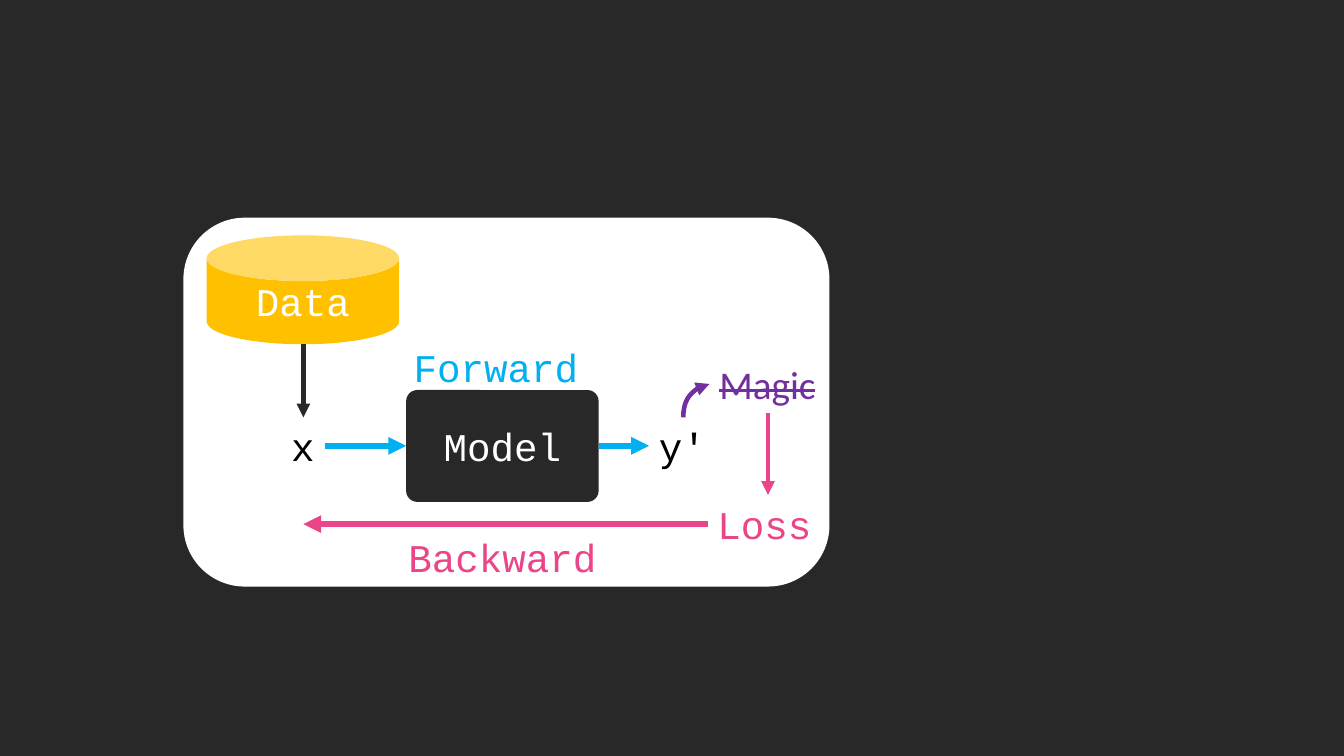
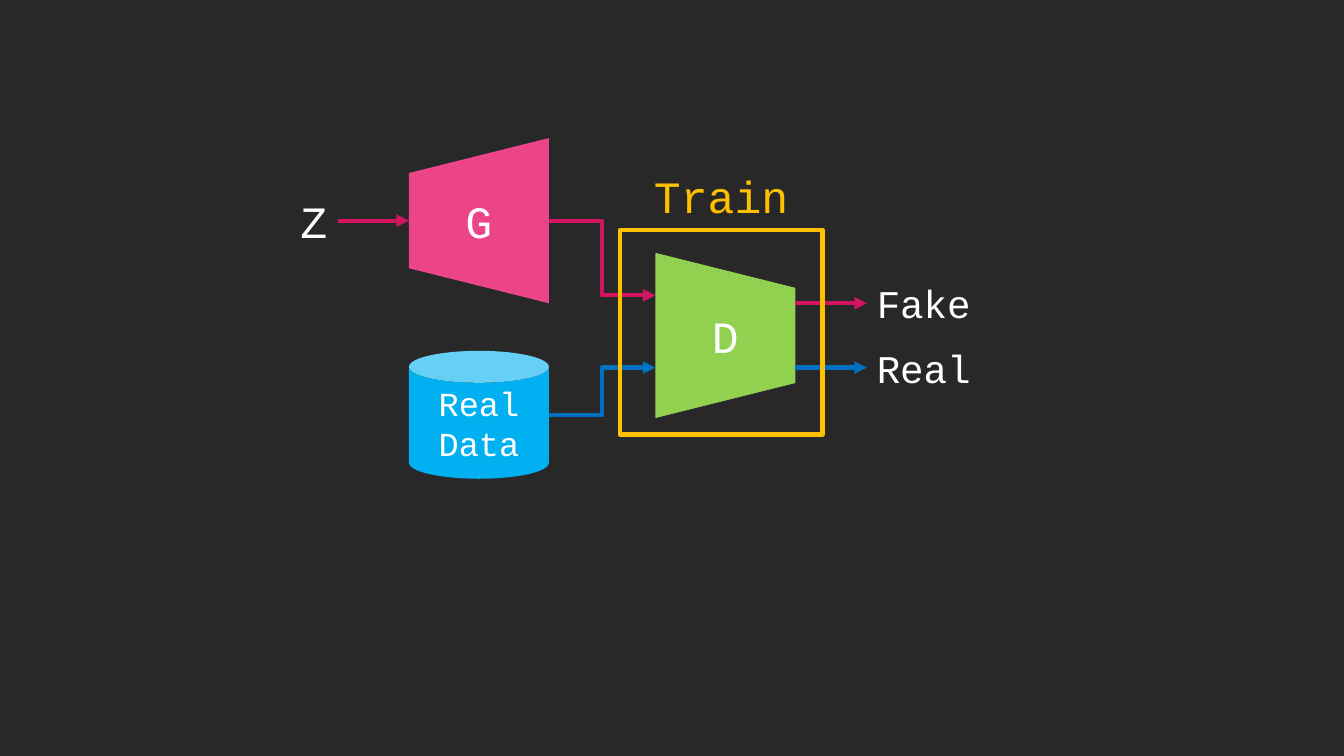
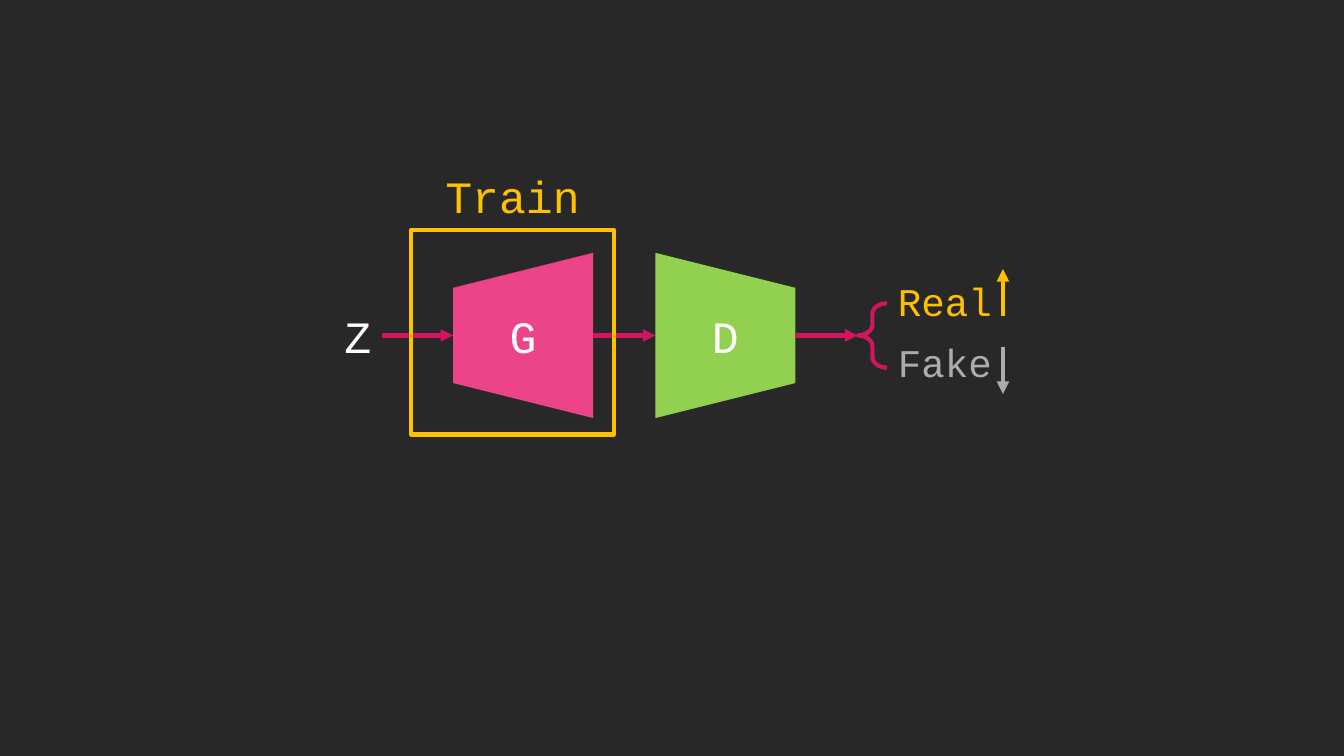
from lxml import etree
from pptx import Presentation
from pptx.dml.color import RGBColor
from pptx.enum.shapes import MSO_CONNECTOR, MSO_SHAPE
from pptx.enum.text import MSO_ANCHOR, PP_ALIGN
from pptx.oxml.ns import qn
from pptx.util import Pt

STRAIGHT, ELBOW, CURVE = MSO_CONNECTOR.STRAIGHT, MSO_CONNECTOR.ELBOW, MSO_CONNECTOR.CURVE
CAN, TRAPEZOID, RECTANGLE = MSO_SHAPE.CAN, MSO_SHAPE.TRAPEZOID, MSO_SHAPE.RECTANGLE
ROUNDED, BRACE = MSO_SHAPE.ROUNDED_RECTANGLE, MSO_SHAPE.LEFT_BRACE
LEFT, CENTER, MIDDLE = PP_ALIGN.LEFT, PP_ALIGN.CENTER, MSO_ANCHOR.MIDDLE

COLORS = {
    "dark": "282828", "white": "FFFFFF", "black": "000000", "gold": "FFC000",
    "sky": "00B0F0", "blue": "0070C0", "pink": "EC4488", "crimson": "D11561",
    "green": "92D050", "purple": "7030A0", "grey": "AFABAB",
}
MONO = "Courier New"
LABEL_HEIGHT = 41
LETTER_HEIGHT = 46
NET_WIDTH, NET_HEIGHT = 100, 118


def rgb(name):
    """Return the palette colour of that name."""
    return RGBColor.from_string(COLORS[name])


def write(shape, text, color, size, align, font=MONO):
    """Put one formatted paragraph into a shape."""
    paragraph = shape.text_frame.paragraphs[0]
    paragraph.text = text
    paragraph.alignment = align
    paragraph.font.name = font
    paragraph.font.size = Pt(size)
    paragraph.font.color.rgb = rgb(color)
    return paragraph


def add_label(slide, text, left, top, width, color, size=28, align=LEFT,
              height=LABEL_HEIGHT, font=MONO):
    """Add a one-line, vertically centred text box."""
    label = slide.shapes.add_textbox(Pt(left), Pt(top), Pt(width), Pt(height))
    label.text_frame.word_wrap = False
    label.text_frame.vertical_anchor = MIDDLE
    return write(label, text, color, size, align, font)


def add_block(slide, kind, left, top, width, height, fill=None, line=None):
    """Add a flat preset shape, filled or outlined."""
    block = slide.shapes.add_shape(kind, Pt(left), Pt(top), Pt(width), Pt(height))
    block.shadow.inherit = False
    if fill:
        block.fill.solid()
        block.fill.fore_color.rgb = rgb(fill)
    else:
        block.fill.background()
    if line:
        block.line.color.rgb = rgb(line)
        block.line.width = Pt(3)
    else:
        block.line.fill.background()
    return block


def add_arrow(slide, x1, y1, x2, y2, color, width=3, kind=STRAIGHT):
    """Add a connector with a triangle at its end."""
    arrow = slide.shapes.add_connector(kind, Pt(x1), Pt(y1), Pt(x2), Pt(y2))
    arrow.line.color.rgb = rgb(color)
    arrow.line.width = Pt(width)
    properties = arrow.element.spPr
    etree.SubElement(properties.find(qn("a:ln")), qn("a:tailEnd"), type="triangle")
    etree.SubElement(properties, qn("a:effectLst"))
    return arrow


def add_quarter_curve(slide, x1, y1, x2, y2, color, width):
    """Add a curved arrow that leaves upwards and arrives rightwards."""
    center_x, center_y = (x1 + x2) / 2, (y1 + y2) / 2
    half_long, half_short = abs(y2 - y1) / 2, abs(x2 - x1) / 2
    curve = add_arrow(slide, center_x + half_long, center_y + half_short,
                      center_x - half_long, center_y - half_short, color, width, CURVE)
    properties = curve.element.spPr
    properties.find(qn("a:xfrm")).set("rot", "5400000")
    properties.find(qn("a:prstGeom")).set("prst", "curvedConnector2")


def add_network(slide, letter, left, top, color, rotation):
    """Add a trapezoid lying on its side, with its letter."""
    shift = (NET_HEIGHT - NET_WIDTH) / 2
    network = add_block(slide, TRAPEZOID, left - shift, top + shift,
                        NET_HEIGHT, NET_WIDTH, color)
    network.rotation = rotation
    add_label(slide, letter, left, top, NET_WIDTH, "white", 32, CENTER, NET_HEIGHT)


def add_generator(slide, left, top):
    """Add the noise input Z, its arrow and the generator."""
    middle = top + NET_HEIGHT / 2
    add_label(slide, "Z", left, middle - LETTER_HEIGHT / 2, 33.8, "white", 32,
              height=LETTER_HEIGHT)
    add_arrow(slide, left + 33.8, middle, left + 84.7, middle, "crimson")
    add_network(slide, "G", left + 84.7, top, "pink", 270)


def add_train_frame(slide, left, top):
    """Add the frame around the trained part, with its heading."""
    add_block(slide, RECTANGLE, left, top, 144.7, 146.2, line="gold")
    add_label(slide, "Train", left, top - 47.5, 144.7, "gold", 32, CENTER, LETTER_HEIGHT)


def draw_training_loop(slide, left, top):
    """Draw the panel with the forward and backward pass."""
    def x(offset):
        return left + offset

    def y(offset):
        return top + offset

    add_block(slide, ROUNDED, left, top, 461.5, 263.5, "white")
    model = add_block(slide, ROUNDED, x(159.1), y(123.1), 137.5, 79.9, "dark")
    model.adjustments[0] = 0.1
    write(model, "Model", "white", 28, CENTER)
    data = add_block(slide, CAN, x(16.6), y(12.6), 137.5, 77.8, "gold")
    data.adjustments[0] = 0.42
    write(data, "Data", "white", 28, CENTER)

    for text, dx, dy, width, color, align in (
        ("x", 69.8, 142.6, 31.7, "black", LEFT),
        ("y'", 332.6, 142.6, 48.2, "black", LEFT),
        ("Loss", 374.4, 198, 87, "pink", LEFT),
        ("Forward", 154.8, 85.7, 136.8, "sky", CENTER),
        ("Backward", 149.8, 221.8, 156.2, "pink", CENTER),
    ):
        add_label(slide, text, x(dx), y(dy), width, color, align=align)
    magic = add_label(slide, "Magic", x(375.8), y(97.9), 83.5, "purple", font="Calibri")
    magic.runs[0].font._element.set("strike", "sngStrike")

    for x1, y1, x2, y2, color, width in (
        (101.5, 163, 159.1, 163, "sky", 4.25),
        (296.6, 163, 332.6, 163, "sky", 4.25),
        (85.7, 90.4, 85.7, 142.6, "dark", 3.25),
        (417.6, 139.7, 417.6, 198, "pink", 3.25),
        (374.4, 218.9, 85.7, 218.9, "pink", 4.25),
    ):
        add_arrow(slide, x(x1), y(y1), x(x2), y(y2), color, width)
    add_quarter_curve(slide, x(357.1), y(142.6), x(375.8), y(118.8), "purple", 3.25)


def draw_discriminator_step(slide, left, top):
    """Draw the step that trains D on fake and real samples."""
    add_generator(slide, left, top)
    add_network(slide, "D", left + 260.8, top + 82, "green", 90)
    real_data = add_block(slide, CAN, left + 84.7, top + 152, NET_WIDTH, 91.4, "sky")
    write(real_data, "Real Data", "white", 24, CENTER)
    for text, color, source, entry, result in (
        ("Fake", "crimson", 59, 112.4, 118),
        ("Real", "blue", 198, 164, 164),
    ):
        add_arrow(slide, left + 184.7, top + source, left + 260.8, top + entry,
                  color, kind=ELBOW)
        add_arrow(slide, left + 360.8, top + result, left + 411.8, top + result, color)
        add_label(slide, text, left + 411.8, top + result - LABEL_HEIGHT / 2, 85.7, "white")
    add_train_frame(slide, left + 235.4, top + 65.6)


def draw_generator_step(slide, left, top):
    """Draw the step that trains G to be judged real."""
    middle = top + NET_HEIGHT / 2
    add_generator(slide, left, top)
    add_network(slide, "D", left + 229.2, top, "green", 90)
    for start, end in ((184.7, 229.2), (329.2, 373.7)):
        add_arrow(slide, left + start, middle, left + end, middle, "crimson")
    brace = add_block(slide, BRACE, left + 373.7, middle - 23, 20.9, 46, line="crimson")
    brace.adjustments[0] = 0.36
    for text, color, label_top, tail, tip in (
        ("Real", "gold", 13.7, 45.4, 11.5),
        ("Fake", "grey", 57.6, 67, 100.8),
    ):
        add_label(slide, text, left + 395.3, top + label_top, 100.8, color)
        add_arrow(slide, left + 477.4, top + tail, left + 477.4, top + tip, color)
    add_train_frame(slide, left + 54.8, top - 16.4)


def main():
    """Build the three slides and save them."""
    deck = Presentation()
    deck.slide_width, deck.slide_height = Pt(960), Pt(540)
    backdrop = deck.slide_master.background.fill
    backdrop.solid()
    backdrop.fore_color.rgb = rgb("dark")
    blank = deck.slide_layouts[6]
    for draw, left, top in (
        (draw_training_loop, 131, 155.5),
        (draw_discriminator_step, 207.4, 98.6),
        (draw_generator_step, 239, 180.6),
    ):
        draw(deck.slides.add_slide(blank), left, top)
    deck.save("out.pptx")


if __name__ == "__main__":
    main()
